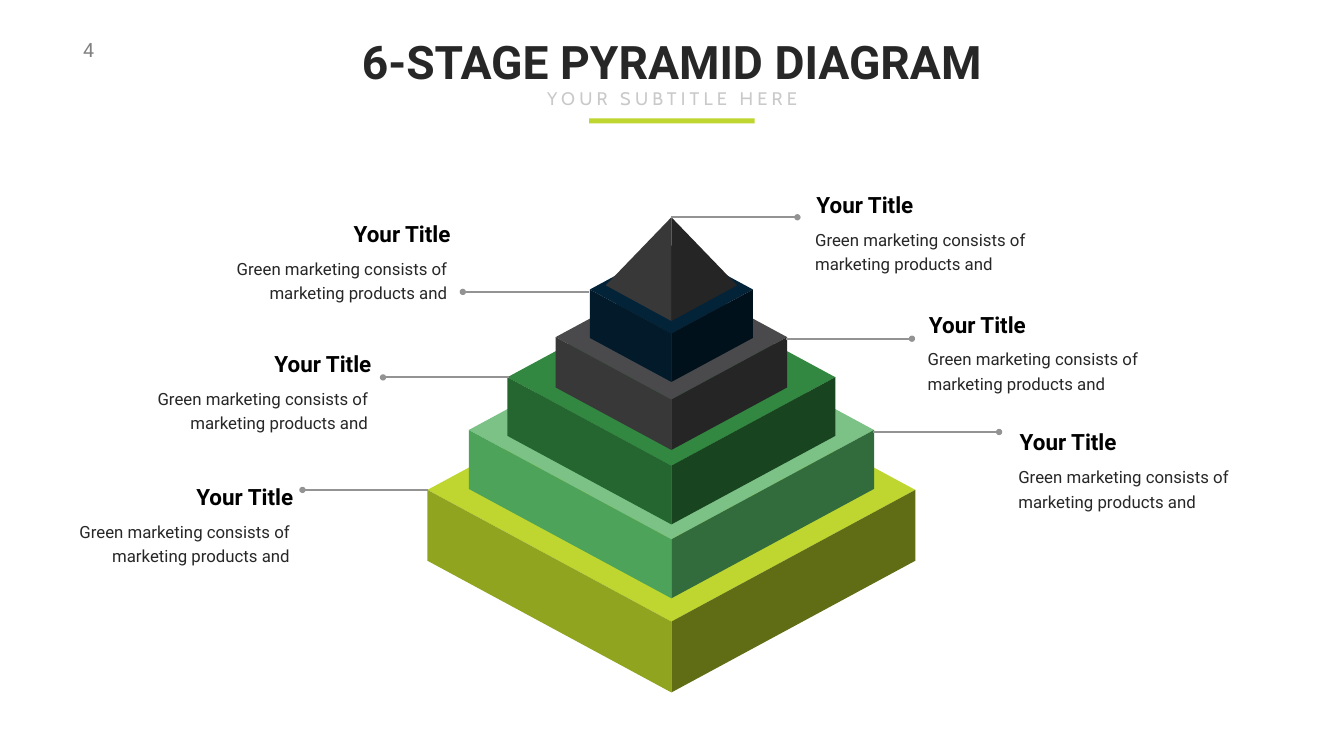
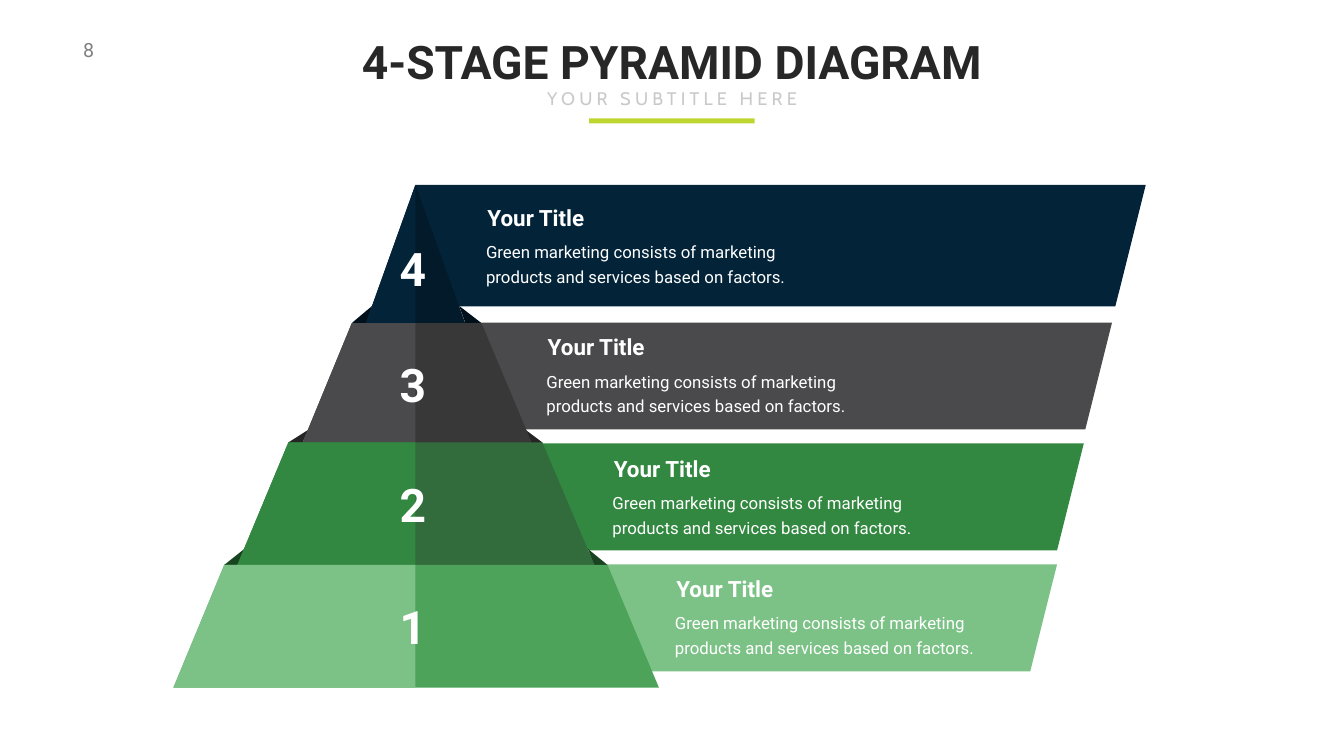
from lxml import etree
from pptx import Presentation
from pptx.dml.color import RGBColor
from pptx.enum import shapes, text
from pptx.oxml import ns
from pptx.util import Cm, Pt

WHITE = RGBColor(0xFF, 0xFF, 0xFF)
BLACK = RGBColor(0x00, 0x00, 0x00)
INK = RGBColor(0x27, 0x27, 0x27)
GRAY = RGBColor(0x80, 0x80, 0x80)
PALE = RGBColor(0xC9, 0xC9, 0xC9)
WIRE = RGBColor(0x93, 0x93, 0x93)
LIME = RGBColor(0xBE, 0xD6, 0x2F)
OLIVE = RGBColor(0x91, 0xA4, 0x20)
MOSS = RGBColor(0x60, 0x6D, 0x15)
MINT = RGBColor(0x7C, 0xC2, 0x87)
LEAF = RGBColor(0x4C, 0xA3, 0x59)
FERN = RGBColor(0x33, 0x6C, 0x3C)
GREEN = RGBColor(0x32, 0x88, 0x40)
PINE = RGBColor(0x25, 0x66, 0x30)
WOOD = RGBColor(0x19, 0x44, 0x20)
STONE = RGBColor(0x4A, 0x4A, 0x4C)
SLATE = RGBColor(0x38, 0x38, 0x39)
COAL = RGBColor(0x25, 0x25, 0x26)
NAVY = RGBColor(0x02, 0x23, 0x38)
NIGHT = RGBColor(0x02, 0x1A, 0x2A)
PITCH = RGBColor(0x01, 0x11, 0x1C)

LEFT, MID, RIGHT = text.PP_ALIGN.LEFT, text.PP_ALIGN.CENTER, text.PP_ALIGN.RIGHT
TOP, CENTER = text.MSO_ANCHOR.TOP, text.MSO_ANCHOR.MIDDLE


def write(page, words, left, top, wide, high, size, tone, bold=False, face="Roboto",
          align=LEFT, anchor=TOP, wrap=False, pad=(0.25, 0.13), lead=None, track=None):
    frame = page.shapes.add_textbox(Cm(left), Cm(top), Cm(wide), Cm(high)).text_frame
    frame.word_wrap = wrap
    frame.auto_size = text.MSO_AUTO_SIZE.SHAPE_TO_FIT_TEXT
    frame.vertical_anchor = anchor
    frame.margin_left = frame.margin_right = Cm(pad[0])
    frame.margin_top = frame.margin_bottom = Cm(pad[1])
    para = frame.paragraphs[0]
    para.alignment = align
    if lead:
        para.line_spacing = Pt(lead)
    run = para.add_run()
    run.text = words
    run.font.name = face
    run.font.size = Pt(size)
    run.font.bold = bold
    run.font.color.rgb = tone
    if track:
        run._r.get_or_add_rPr().set("spc", str(track * 100))


def draw(page, tone, points, kind=None):
    spots = [(Cm(x), Cm(y)) for x, y in points]
    if kind:
        (left, top), (right, base) = spots
        shape = page.shapes.add_shape(kind, left, top, right - left, base - top)
    else:
        pen = page.shapes.build_freeform(*spots[0], scale=1.0)
        pen.add_line_segments(spots[1:], close=True)
        shape = pen.convert_to_shape()
    shape.shadow.inherit = False
    shape.fill.solid()
    shape.fill.fore_color.rgb = tone
    shape.line.fill.background()


deck = Presentation()
deck.slide_width, deck.slide_height = Cm(67.72), Cm(38.1)
pages = []
for count, title in (("4", "6-STAGE PYRAMID DIAGRAM"), ("8", "4-STAGE PYRAMID DIAGRAM")):
    page = deck.slides.add_slide(deck.slide_layouts[6])
    pages.append(page)
    write(page, count, 3.94, 1.8, 2.13, 1.45, 28, GRAY, track=3)
    write(page, title, 15.7, 1.55, 36.32, 3.07, 66, INK, bold=True, align=MID)
    draw(page, LIME, [(29.69, 5.97), (38.02, 6.22)], shapes.MSO_SHAPE.RECTANGLE)
    write(page, "YOUR SUBTITLE HERE", 26.44, 4.29, 14.86, 1.37, 26, PALE,
          face="Cabin", align=MID, track=6)
six, four = pages

axis = 33.83
blocks = [
    (12.29, 24.69, 3.57, LIME, MOSS, OLIVE),
    (10.21, 21.67, 2.97, MINT, FERN, LEAF),
    (8.26, 19.01, 2.96, GREEN, WOOD, PINE),
    (5.83, 16.99, 2.54, STONE, COAL, SLATE),
    (4.11, 14.59, 2.44, NAVY, PITCH, NIGHT),
]
for half, y, depth, lid, dark, light in blocks:
    rise = half * 0.54
    draw(six, lid, [(axis, y - rise), (axis + half, y), (axis, y + rise), (axis - half, y)])
    for side, tone in ((half, dark), (-half, light)):
        draw(six, tone, [(axis, y + rise + depth), (axis + side, y + depth),
                         (axis + side, y), (axis, y + rise)])
for side, tone in ((3.31, COAL), (-3.31, SLATE)):
    draw(six, tone, [(axis, 10.95), (axis + side, 14.38), (axis, 16.18)])

notes = []
labels = [
    (33.83, 10.95, 40.46, 11.05, RIGHT),
    (39.6, 17.07, 46.13, 17.07, RIGHT),
    (43.99, 21.77, 50.7, 23.01, RIGHT),
    (21.59, 24.69, 1.65, 25.76, LEFT),
    (25.65, 19.02, 5.59, 19.05, LEFT),
    (29.67, 14.71, 9.58, 12.5, LEFT),
]
for x, y, left, top, side in labels:
    reach = 6.35 if side == RIGHT else -6.35
    wire = six.shapes.add_connector(shapes.MSO_CONNECTOR.STRAIGHT,
                                    Cm(x), Cm(y), Cm(x + reach), Cm(y))
    wire.line.color.rgb = WIRE
    wire.line.width = Pt(3)
    etree.SubElement(wire.line._get_or_add_ln(), ns.qn("a:tailEnd"), type="oval")
    etree.SubElement(wire._element.spPr, ns.qn("a:effectLst"))
    shift, align = (0.43, LEFT) if side == RIGHT else (7.16, RIGHT)
    notes.append((six, "Green marketing consists of marketing products and",
                  left, top, 13.56, shift, align, BLACK, INK))

bands = [
    (25.68, 28.45, 53.26, 33.83, MINT),
    (21.01, 22.35, 54.61, 27.74, GREEN),
    (19.66, 16.26, 56.03, 21.64, STONE),
    (19.41, 9.32, 57.73, 15.44, NAVY),
]
for left, top, right, base, tone in bands:
    draw(four, tone, [(left, top), (right, base)], shapes.MSO_SHAPE.PARALLELOGRAM)

folds = [
    (WOOD, 11.3, 30.61, 28.47, 12.32, 29.62, 27.66, 11.86, 30.02, 28.73, 11.53, 30.3, 29.26),
    (COAL, 14.53, 27.33, 22.3, 15.52, 26.49, 21.67, 15.16, 26.8, 22.48, 14.58, 26.97, 22.81),
    (PITCH, 17.75, 24.23, 16.26, 18.75, 23.14, 15.42, 18.39, 23.52, 16.48, 18.14, 23.93, 16.76),
]
for tone, left, right, y, tipl, tipr, tip, cutl, cutr, cut, endl, endr, end in folds:
    draw(four, tone, [(left, y), (tipl, tip), (cutl, cut), (cutr, cut),
                      (tipr, tip), (right, y), (endr, end), (endl, end)])

spine = 20.93
tiers = [
    (spine, spine, 9.32, 18.44, 23.44, 16.28, NAVY, NIGHT),
    (17.73, 24.26, 16.28, 15.19, 26.85, 22.45, STONE, SLATE),
    (14.53, 27.33, 22.3, 11.96, 29.95, 28.47, GREEN, FERN),
    (11.3, 30.61, 28.47, 8.74, 33.2, 34.65, MINT, LEAF),
]
for topl, topr, top, basel, baser, base, light, dark in tiers:
    draw(four, dark, [(topl, top), (topr, top), (baser, base), (basel, base)])
    draw(four, light, [(topl, top), (spine, top), (spine, base), (basel, base)])

steps = [
    ("1", 30.02, 33.4, 30.38),
    ("2", 23.85, 30.25, 24.33),
    ("3", 17.83, 26.92, 18.19),
    ("4", 11.96, 23.88, 11.68),
]
for count, y, left, top in steps:
    write(four, count, 19.86, y, 1.9, 3.07, 66, WHITE, bold=True, align=MID, anchor=CENTER)
    notes.append((four, "Green marketing consists of marketing products and services based on factors.",
                  left, top, 18.39, 0.43, LEFT, WHITE, WHITE))

for page, words, left, top, wide, shift, align, head, tone in notes:
    write(page, words, left, top, wide, 3, 24, tone, align=align,
          wrap=True, pad=(0.61, 0.3), lead=35)
    write(page, "Your Title", left + shift, top - 1.55, 6.22, 1.63, 32, head,
          bold=True, align=align, anchor=CENTER)

deck.save("out.pptx")
